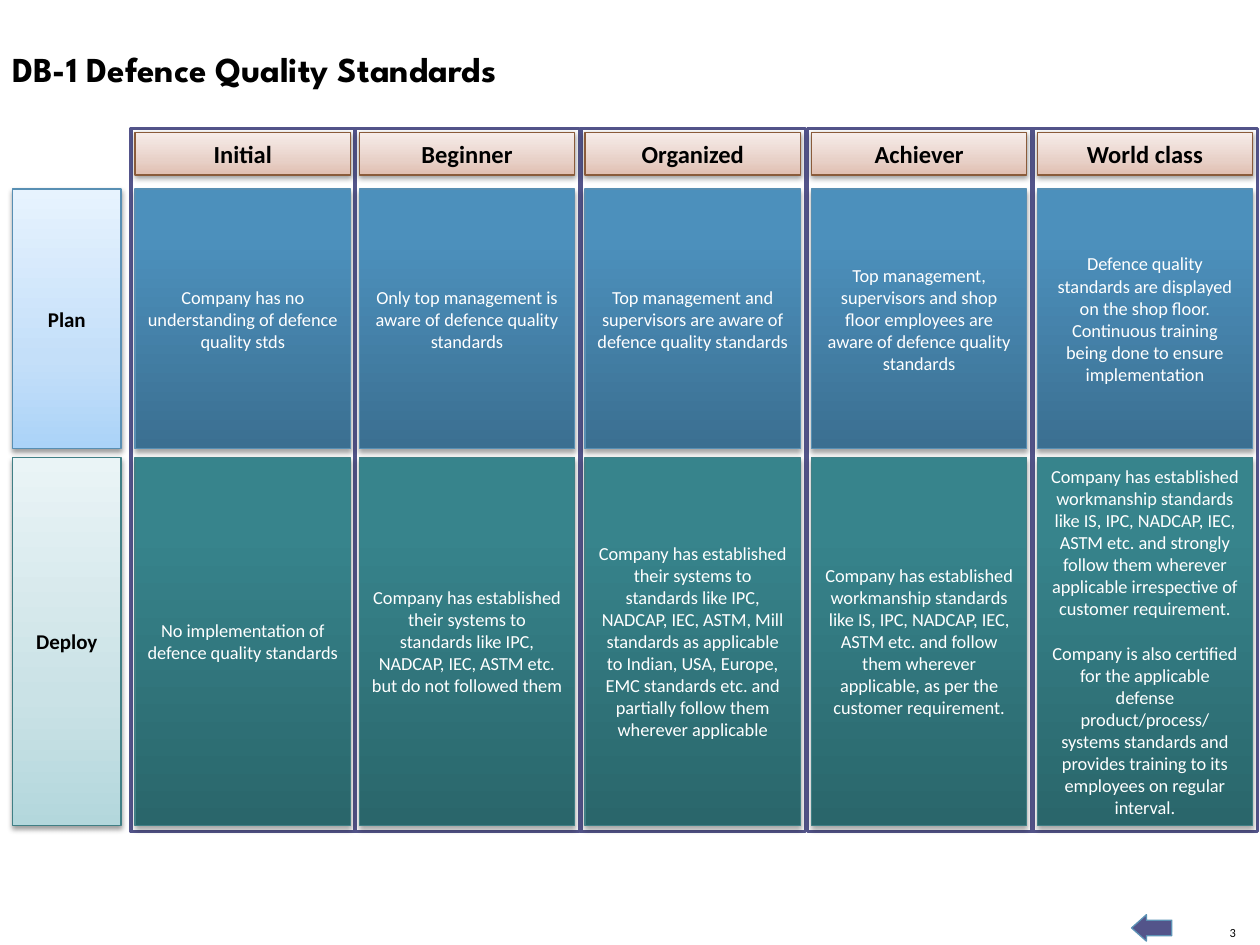
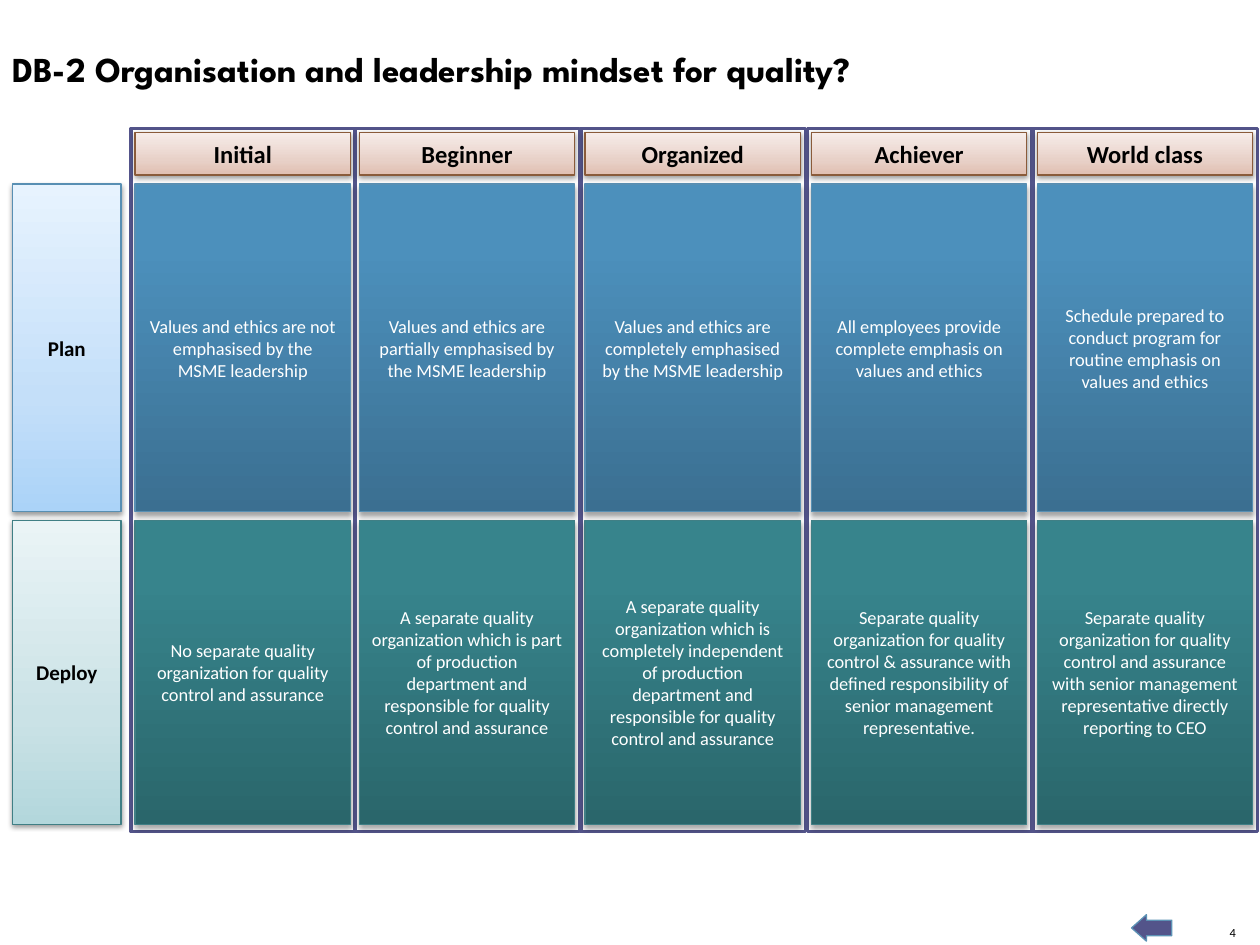
from copy import deepcopy
from lxml.etree import SubElement
from pptx import Presentation
from pptx.dml.color import RGBColor
from pptx.enum.shapes import MSO_SHAPE
from pptx.enum.text import MSO_ANCHOR, MSO_AUTO_SIZE, PP_ALIGN
from pptx.oxml.ns import qn
from pptx.util import Pt

BLACK, WHITE, FRAME = "000000", "FFFFFF", "53548A"
STOPS = {
    "head": (("E0BEB0", 0), ("E8D1C8", 0.35), ("F7EDEA", 1)),
    "label": [
        (("ABD3F8", 0), ("C4DFF9", 0.35), ("E7F3FE", 1)),
        (("B3D7DC", 0), ("CAE2E6", 0.35), ("EAF4F6", 1)),
    ],
    "cell": [
        (("3B6F91", 0), ("4C90BC", 0.8), ("4A91BF", 1)),
        (("2A666B", 0), ("37848C", 0.8), ("36868E", 1)),
    ],
}
EDGES = ["588FB3", "407F85"]
LEVELS = ["Initial", "Beginner", "Organized", "Achiever", "World class"]
PHASES = ["Plan", "Deploy"]
LEFTS = [74.9, 203, 332, 461.4, 590.4]
INSET, WIDTH = 2.3, 123.1

PAGES = [
    {
        "page": "3",
        "title": "DB-1 Defence Quality Standards",
        "rows": [(108, 148.3), (261.4, 210.3)],
        "text": [
            [
                "Company has no understanding of defence quality stds",
                "Only top management is aware of defence quality standards",
                "Top management and supervisors are aware of defence quality standards",
                "Top management, supervisors and shop floor employees are aware of "
                "defence quality standards",
                "Defence quality standards are displayed on the shop floor. "
                "Continuous training being done to ensure implementation",
            ],
            [
                "No implementation of defence quality standards",
                "Company has established their systems to standards like IPC, NADCAP, "
                "IEC, ASTM etc. but do not followed them",
                "Company has established their systems to standards like IPC, NADCAP, "
                "IEC, ASTM, Mill standards as applicable to Indian, USA, Europe, EMC "
                "standards etc. and partially follow them wherever applicable",
                "Company has established workmanship standards like IS, IPC, NADCAP, "
                "IEC, ASTM etc. and follow them wherever applicable, as per the "
                "customer requirement.",
                "Company has established workmanship standards like IS, IPC, NADCAP, "
                "IEC, ASTM etc. and strongly follow them wherever applicable "
                "irrespective of customer requirement.\n"
                "Company is also certified for the applicable defense product/process/\n"
                "systems standards and provides training to its employees on regular "
                "interval.",
            ],
        ],
    },
    {
        "page": "4",
        "title": "DB-2 Organisation and leadership mindset for quality?",
        "rows": [(105.1, 187.4), (297.3, 173.7)],
        "text": [
            [
                "Values and ethics are not emphasised by the MSME leadership",
                "Values and ethics are partially emphasised by the MSME leadership",
                "Values and ethics are completely emphasised by the MSME leadership",
                "All employees provide complete emphasis on values and ethics",
                "Schedule prepared to conduct program for routine emphasis on values "
                "and ethics",
            ],
            [
                "No separate quality organization for quality control and assurance",
                "A separate quality organization which is part of production "
                "department and responsible for quality control and assurance",
                "A separate quality organization which is completely independent of "
                "production department and responsible for quality control and assurance",
                "Separate quality organization for quality control & assurance with "
                "defined responsibility of senior management representative.",
                "Separate quality organization for quality control and assurance with "
                "senior management representative directly reporting to CEO",
            ],
        ],
    },
]


def paint(code):
    return RGBColor.from_string(code)


class Deck:
    def __init__(self):
        self.show = Presentation()
        self.show.slide_width, self.show.slide_height = Pt(720), Pt(540)
        self.slide = None

    def start(self):
        self.slide = self.show.slides.add_slide(self.show.slide_layouts[6])

    def letter(self, frame, text, size, color=BLACK, bold=False,
               align=PP_ALIGN.CENTER, font="Calibri"):
        frame.text = text
        for par in frame.paragraphs:
            par.alignment = align
            for run in par.runs:
                run.font.name, run.font.size = font, Pt(size)
                run.font.bold, run.font.color.rgb = bold, paint(color)

    def label(self, box, text, size, wrap=True, **style):
        frame = self.slide.shapes.add_textbox(*map(Pt, box)).text_frame
        frame.word_wrap = wrap
        frame.auto_size = MSO_AUTO_SIZE.SHAPE_TO_FIT_TEXT
        self.letter(frame, text, size, **style)
        return frame

    def block(self, box, fill, edge, width=0.75, kind=MSO_SHAPE.RECTANGLE):
        shape = self.slide.shapes.add_shape(kind, *map(Pt, box))
        shape.shadow.inherit = False
        if isinstance(fill, str):
            shape.fill.solid()
            shape.fill.fore_color.rgb = paint(fill)
        else:
            self.blend(shape, fill)
        shape.line.color.rgb, shape.line.width = paint(edge), Pt(width)
        return shape

    def blend(self, shape, stops):
        shape.fill.gradient()
        shape.fill.gradient_angle = 90
        last = shape._element.spPr.findall(".//" + qn("a:gs"))[-1]
        last.addnext(deepcopy(last))
        for stop, (code, spot) in zip(shape.fill.gradient_stops, stops):
            stop.color.rgb, stop.position = paint(code), spot

    def shade(self, shape, alpha, drop):
        effect = shape._element.spPr.find(qn("a:effectLst"))
        outer = SubElement(effect, qn("a:outerShdw"), blurRad=str(Pt(3.1)),
                           dist=str(Pt(drop)), dir="5400000", rotWithShape="0")
        color = SubElement(outer, qn("a:srgbClr"), val=BLACK)
        SubElement(color, qn("a:alpha"), val=str(alpha * 1000))

    def card(self, box, fill, edge, text, size, color=BLACK, bold=True,
             alpha=38, drop=1.6):
        shape = self.block(box, fill, edge)
        self.shade(shape, alpha, drop)
        frame = shape.text_frame
        frame.word_wrap, frame.vertical_anchor = True, MSO_ANCHOR.MIDDLE
        self.letter(frame, text, size, color, bold)
        return frame

    def cell(self, box, row, text):
        frame = self.card(box, STOPS["cell"][row], EDGES[row], text, 10.5,
                          WHITE, False, 35, 1.8)
        for par in frame.paragraphs[1:2]:
            par.space_before = Pt(12.8)

    def foot(self, page):
        frame = self.label((697.7, 528.5, 8.6, 8.6), page, 7.1, wrap=False,
                           align=PP_ALIGN.RIGHT)
        frame.margin_left = frame.margin_right = 0
        frame.margin_top = frame.margin_bottom = 0
        frame.vertical_anchor = MSO_ANCHOR.BOTTOM
        arrow = self.block((646.6, 522.7, 23, 15.1), FRAME, "5C92B5",
                           kind=MSO_SHAPE.RIGHT_ARROW)
        arrow.rotation = 180
        arrow.adjustments[0], arrow.adjustments[1] = 0.59, 0.56

    def grid(self, rows, text):
        for row, (top, high) in enumerate(rows):
            self.card((7.2, top, 62, high), STOPS["label"][row], EDGES[row],
                      PHASES[row], 12)
        for left in LEFTS:
            self.block((left, 73.4, 128.2, 401.8), WHITE, FRAME, 2)
        for row, (top, high) in enumerate(rows):
            for left, words in zip(LEFTS, text[row]):
                self.cell((left + INSET, top, WIDTH, high), row, words)
        for left, level in zip(LEFTS, LEVELS):
            self.card((left + INSET, 75.6, WIDTH, 24.5), STOPS["head"],
                      "8A5B3A", level, 14)


def main():
    deck = Deck()
    for page in PAGES:
        deck.start()
        deck.foot(page["page"])
        deck.label((0, 23.8, 619.2, 31.7), page["title"], 20, bold=True,
                   align=PP_ALIGN.LEFT, font="League Spartan")
        deck.grid(page["rows"], page["text"])
    deck.show.save("out.pptx")


if __name__ == "__main__":
    main()
